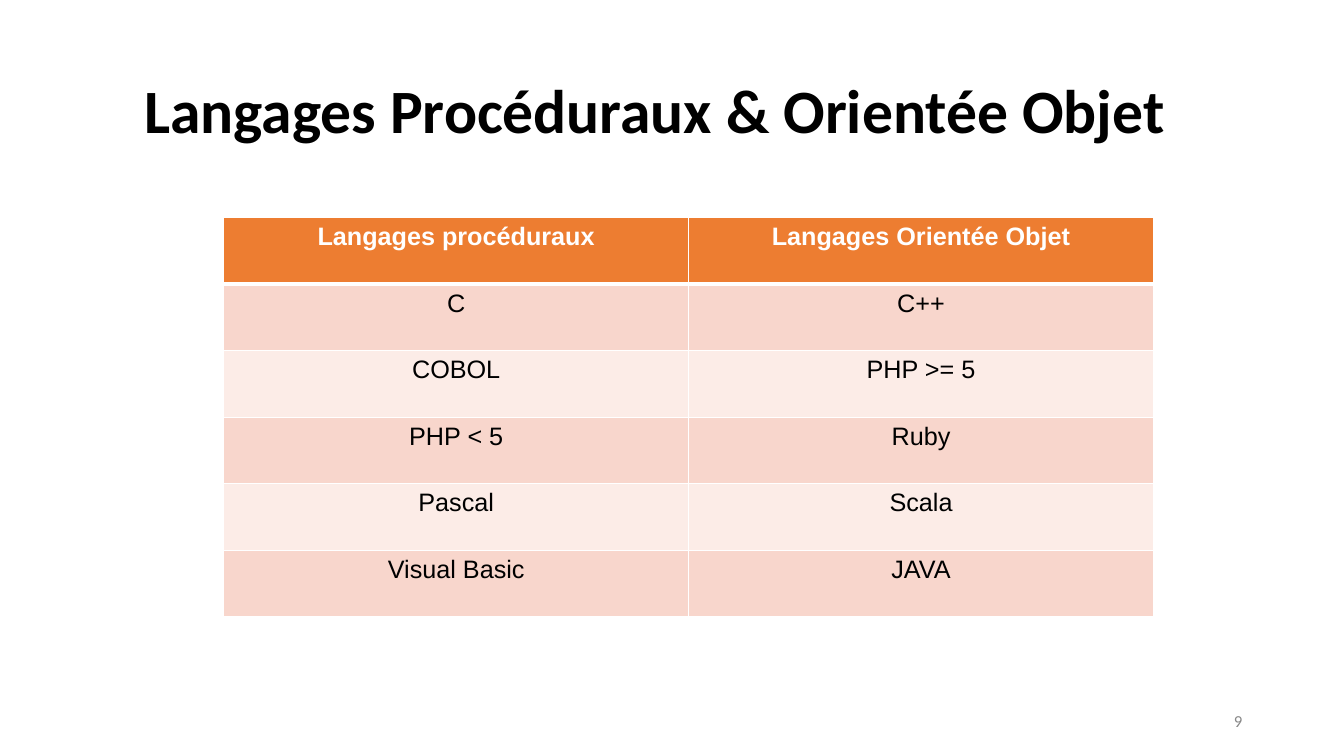
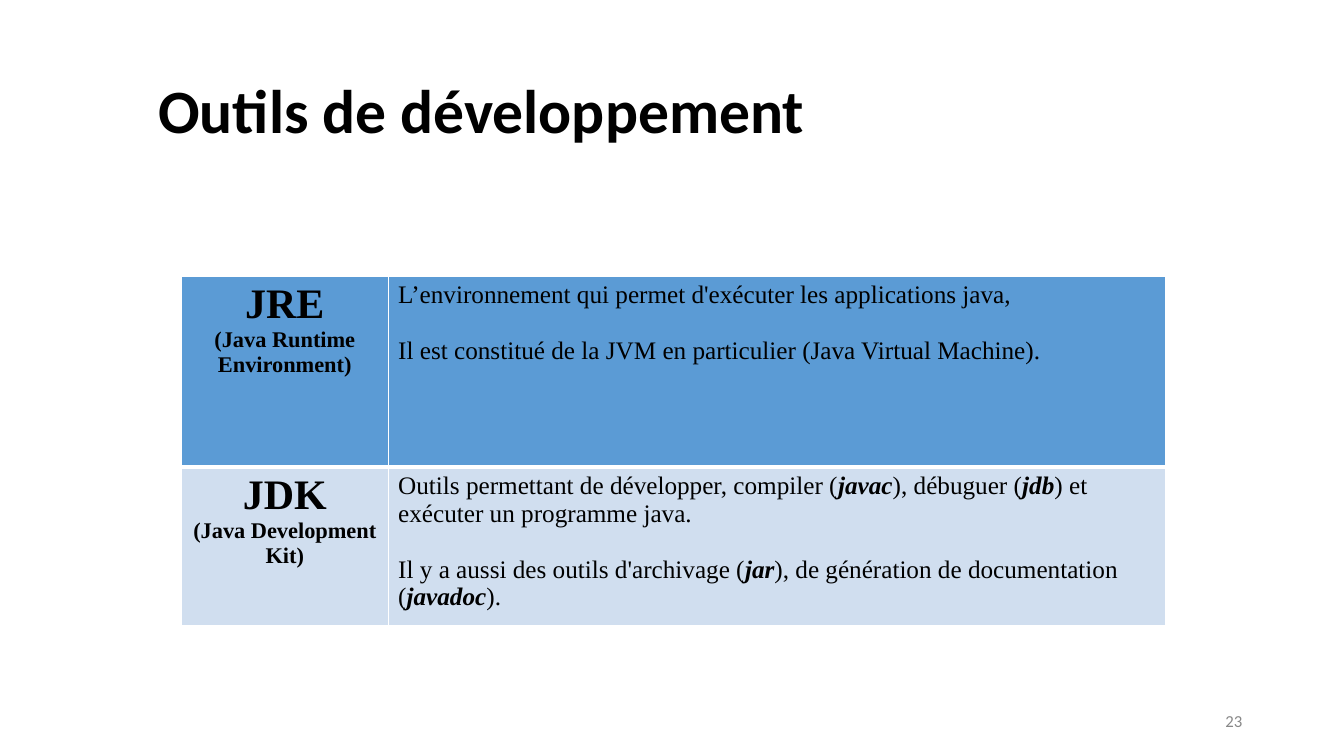
from lxml.etree import SubElement
from pptx import Presentation
from pptx.dml.color import RGBColor
from pptx.enum.text import MSO_ANCHOR, PP_ALIGN as Align
from pptx.oxml.ns import qn
from pptx.util import Inches, Pt

COLORS = {
    "black": "000000", "white": "FFFFFF", "number": "888888",
    "orange": "ED7D31", "salmon": "F8D6CC", "blush": "FCECE7",
    "blue": "5B9BD5", "pale_blue": "D0DEEF",
}
TITLE_FONT, LANGUAGE_FONT, TOOL_FONT = "Calibri", "Arial", "Times New Roman"

LANGUAGES = [
    ("Langages procéduraux", "Langages Orientée Objet"),
    ("C", "C++"),
    ("COBOL", "PHP >= 5"),
    ("PHP < 5", "Ruby"),
    ("Pascal", "Scala"),
    ("Visual Basic", "JAVA"),
]
# Words between asterisks are bold italic.
TOOLS = [
    (["JRE", "(Java Runtime Environment)"],
     ["L’environnement qui permet d'exécuter les applications java,",
      "Il est constitué de la JVM en particulier (Java Virtual Machine)."]),
    (["JDK", "(Java Development Kit)"],
     ["Outils permettant de développer, compiler (*javac*), débuguer (*jdb*) "
      "et exécuter un programme java.",
      "Il y a aussi des outils d'archivage (*jar*), de génération de "
      "documentation (*javadoc*)."]),
]


def rgb(name):
    return RGBColor.from_string(COLORS[name])


def write(frame, paragraphs, sizes=(18,), font=TITLE_FONT, color="black",
          bold=False, align=Align.LEFT, gap=0, line_spacing=None):
    """Fill a frame; the last of sizes serves all further paragraphs."""
    frame.word_wrap = True
    for i, text in enumerate(paragraphs):
        paragraph = frame.paragraphs[0] if i == 0 else frame.add_paragraph()
        paragraph.alignment = align
        paragraph.space_before = Pt(gap if i else 0)
        if line_spacing:
            paragraph.line_spacing = line_spacing
        for part, words in enumerate(text.split("*")):
            emphasis = part % 2 == 1
            run = paragraph.add_run()
            run.text = words
            run.font.name = font
            run.font.size = Pt(sizes[min(i, len(sizes) - 1)])
            run.font.bold = bold or emphasis
            run.font.italic = emphasis
            run.font.color.rgb = rgb(color)


def style_cell(cell, fill, top, bottom):
    """Draw white borders, given in points, then the fill."""
    properties = cell._tc.get_or_add_tcPr()
    for side, width in (("L", 1), ("R", 1), ("T", top), ("B", bottom)):
        line = SubElement(properties, qn(f"a:ln{side}"), w=str(Pt(width)))
        solid = SubElement(line, qn("a:solidFill"))
        SubElement(solid, qn("a:srgbClr"), val=COLORS["white"])
    cell.fill.solid()
    cell.fill.fore_color.rgb = rgb(fill)


def add_grid(slide, left, top, widths, heights, fills):
    """Add a table with a thick rule under its first row."""
    table = slide.shapes.add_table(
        len(heights), len(widths), Inches(left), Inches(top),
        Inches(sum(widths)), Inches(sum(heights))).table
    for column, width in zip(table.columns, widths):
        column.width = Inches(width)
    for i, (row, height, fill) in enumerate(zip(table.rows, heights, fills)):
        row.height = Inches(height)
        for cell in row.cells:
            style_cell(cell, fill, 3 if i == 1 else 1, 3 if i == 0 else 1)
    return table


def add_slide(prs, title, indent, number):
    slide = prs.slides.add_slide(prs.slide_layouts[5])
    heading = slide.shapes.title
    heading.left, heading.top = Inches(0.92), Inches(0.4)
    heading.width, heading.height = Inches(11.5), Inches(1.45)
    heading.text_frame.margin_left = Inches(indent)
    heading.text_frame.vertical_anchor = MSO_ANCHOR.MIDDLE
    write(heading.text_frame, [title], sizes=(44,), bold=True, line_spacing=0.9)

    footer = slide.shapes.add_textbox(
        Inches(9.42), Inches(6.95), Inches(3), Inches(0.4)).text_frame
    footer.vertical_anchor = MSO_ANCHOR.MIDDLE
    write(footer, [str(number)], sizes=(12,), color="number", align=Align.RIGHT)
    return slide


def add_languages(prs):
    slide = add_slide(prs, "Langages Procéduraux & Orientée Objet", 0.51, 9)
    fills = ["orange"] + [("salmon", "blush")[i % 2]
                          for i in range(len(LANGUAGES) - 1)]
    table = add_grid(slide, 2.22, 2.16, [4.61] * 2,
                     [0.66] * len(LANGUAGES), fills)
    for i, (row, names) in enumerate(zip(table.rows, LANGUAGES)):
        for cell, name in zip(row.cells, names):
            write(cell.text_frame, [name], font=LANGUAGE_FONT, bold=i == 0,
                  color="black" if i else "white", align=Align.CENTER)


def add_tools(prs):
    slide = add_slide(prs, "Outils de développement", 0.65, 23)
    table = add_grid(slide, 1.8, 2.74, [2.05, 7.71], [1.89, 1.47],
                     ["blue", "pale_blue"])
    alignments = (Align.JUSTIFY, Align.LEFT)
    for row, (name, description), align in zip(table.rows, TOOLS, alignments):
        name_cell, description_cell = row.cells
        write(name_cell.text_frame, name, sizes=(30, 16), font=TOOL_FONT,
              bold=True, align=Align.CENTER)
        write(description_cell.text_frame, description, font=TOOL_FONT,
              align=align, gap=20)


def main():
    prs = Presentation()
    prs.slide_width, prs.slide_height = Inches(13.33), Inches(7.5)
    add_languages(prs)
    add_tools(prs)
    prs.save("out.pptx")


if __name__ == "__main__":
    main()
